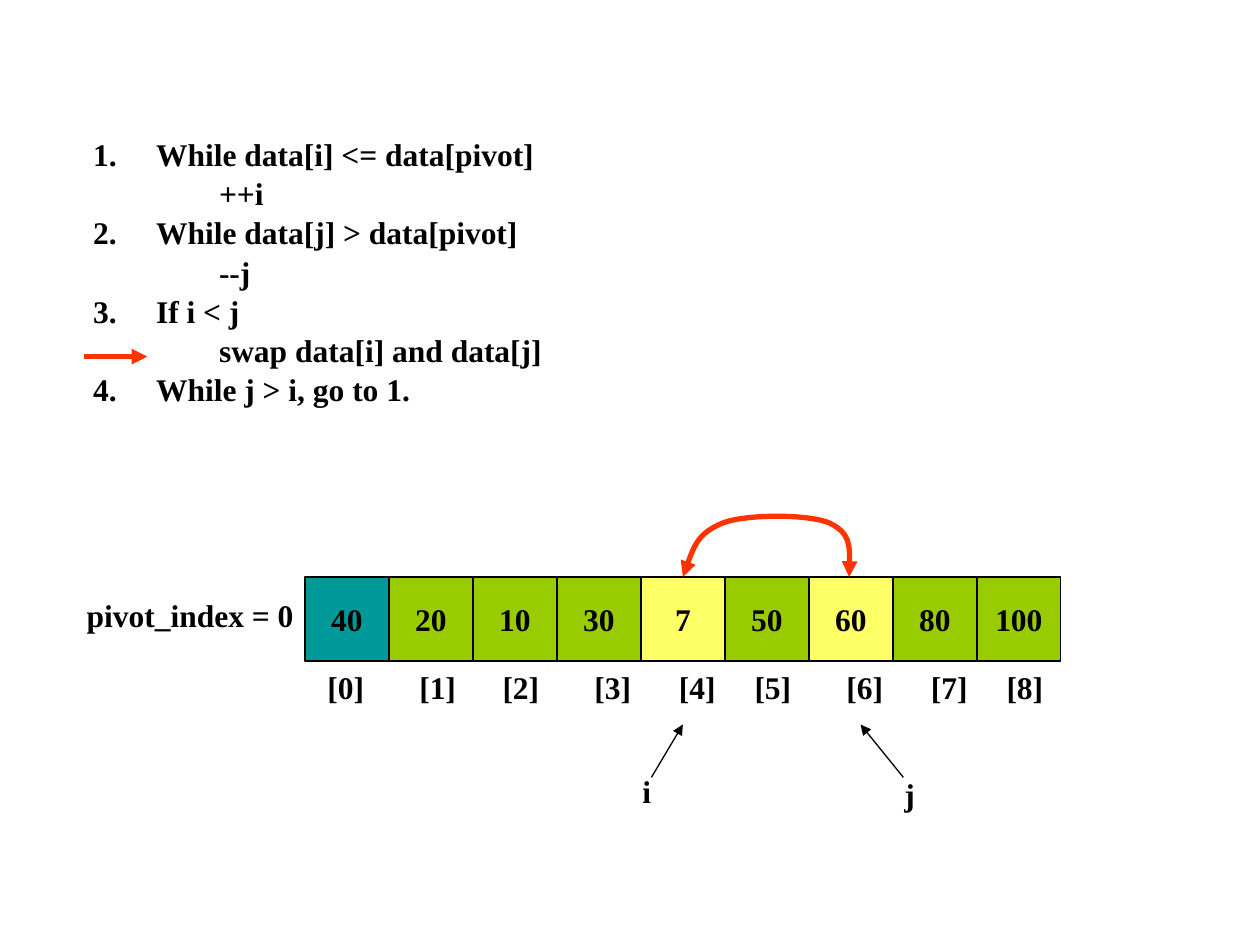
"""Build a slide showing the swap step of quicksort partitioning."""
import pptx
import pptx.dml.color
import pptx.enum.shapes
import pptx.enum.text
import pptx.oxml
import pptx.oxml.ns
import pptx.util

STEPS = [
    ("While data[i] <= data[pivot]", "++i"),
    ("While data[j] > data[pivot]", "--j"),
    ("If i < j", "swap data[i] and data[j]"),
    ("While j > i, go to 1.", None),
]
VALUES = [40, 20, 10, 30, 7, 50, 60, 80, 100]
PIVOT, SWAPPED = 0, (4, 6)
INDEX_TABS = [0.73, 1.39, 2.12, 2.79, 3.39, 4.12, 4.79, 5.39]
LABELS = [
    ("pivot_index = 0", 0.59, 4.68, 1.9),
    ("i", 5, 6.08, 0.42),
    ("j", 7.08, 6.1, 0.33),
    ("\t".join(f"[{n}]" for n in range(len(VALUES))), 2.5, 5.25, 6),
]
BLACK, RED = "000000", "FF3300"
TEAL, GREEN, YELLOW = "009999", "99CC00", "FFFF66"
ARROWS = [
    ((7.17, 6.17), (6.83, 5.75), BLACK, 0.75),
    ((5.17, 6.17), (5.42, 5.75), BLACK, 0.75),
    ((0.67, 2.83), (1.17, 2.83), RED, 3),
]
SWAP_CURVE = [
    (5.42, 4.58), (5.48, 4.4), (5.54, 4.23), (5.74, 4.15), (5.93, 4.08),
    (6.41, 4.08), (6.58, 4.15), (6.75, 4.23), (6.75, 4.4), (6.74, 4.58),
]
ROW_LEFT, ROW_TOP, CELL = 2.42, 4.58, 2 / 3
inch = pptx.util.Inches


def colour(hex_string):
    """Turn a hex string into a colour."""
    return pptx.dml.color.RGBColor.from_string(hex_string)


def add(parent, tag, **attributes):
    """Append a drawing element to a parent element."""
    child = pptx.oxml.parse_xml(f"<a:{tag} {pptx.oxml.ns.nsdecls('a')}/>")
    for name, value in attributes.items():
        child.set(name, str(value))
    parent.append(child)
    return child


def write(paragraph, text):
    """Add tab-separated text as one bold run."""
    run = paragraph.add_run()
    run.text = text
    run.font.name = "Times New Roman"
    run.font.size = pptx.util.Pt(18)
    run.font.bold = True
    run.font.color.rgb = colour(BLACK)


def text_frame(slide, left, top, width, height):
    """Add a wrapping text box and return its frame."""
    box = slide.shapes.add_textbox(inch(left), inch(top), inch(width), inch(height))
    box.text_frame.word_wrap = True
    return box.text_frame


def add_steps(slide):
    """Write the numbered algorithm with indented actions."""
    frame = text_frame(slide, 0.64, 1.02, 4.76, 3.1)
    lines = [(text, level) for step in STEPS for level, text in enumerate(step) if text]
    for position, (text, level) in enumerate(lines):
        paragraph = frame.add_paragraph() if position else frame.paragraphs[0]
        paragraph.level = level
        if position:
            paragraph.space_before = pptx.util.Pt(0.85)
        properties = paragraph._p.get_or_add_pPr()
        properties.set("marL", str(inch(0.5 + level / 2)))
        properties.set("indent", str(0 if level else inch(-0.5)))
        if level:
            add(properties, "buNone")
        else:
            add(add(properties, "buClr"), "srgbClr", val=BLACK)
            add(properties, "buFont", typeface="Times New Roman")
            add(properties, "buAutoNum", type="arabicPeriod")
        write(paragraph, text)


def add_array(slide):
    """Draw the array cells with the pivot and swapped values highlighted."""
    for index, value in enumerate(VALUES):
        cell = slide.shapes.add_shape(
            pptx.enum.shapes.MSO_SHAPE.RECTANGLE,
            inch(ROW_LEFT + index * CELL), inch(ROW_TOP), inch(CELL), inch(CELL))
        cell.shadow.inherit = False
        cell.fill.solid()
        cell.fill.fore_color.rgb = colour(
            TEAL if index == PIVOT else YELLOW if index in SWAPPED else GREEN)
        cell.line.color.rgb = colour(BLACK)
        cell.line.width = pptx.util.Pt(0.75)
        cell.text_frame.vertical_anchor = pptx.enum.text.MSO_ANCHOR.MIDDLE
        paragraph = cell.text_frame.paragraphs[0]
        paragraph.alignment = pptx.enum.text.PP_ALIGN.CENTER
        write(paragraph, str(value))


def add_labels(slide):
    """Write the index row and the pointer names."""
    for text, left, top, width in LABELS:
        paragraph = text_frame(slide, left, top, width, 0.4).paragraphs[0]
        if "\t" in text:
            stops = add(paragraph._p.get_or_add_pPr(), "tabLst")
            for stop in INDEX_TABS:
                add(stops, "tab", pos=inch(stop), algn="l")
        write(paragraph, text)


def style_line(line, hex_string, width, ends):
    """Set a line's colour, width and arrowheads."""
    line.color.rgb = colour(hex_string)
    line.width = pptx.util.Pt(width)
    for end in ends:
        add(line._get_or_add_ln(), end, type="triangle")


def add_arrows(slide):
    """Draw the pointer arrows and the current-step arrow."""
    for start, finish, hex_string, width in ARROWS:
        arrow = slide.shapes.add_connector(
            pptx.enum.shapes.MSO_CONNECTOR.STRAIGHT, *map(inch, start + finish))
        style_line(arrow.line, hex_string, width, ["tailEnd"])
        add(arrow._element.spPr, "effectLst")


def add_swap_curve(slide):
    """Draw the double-headed curve between the swapped cells."""
    points = [(inch(x), inch(y)) for x, y in SWAP_CURVE]
    builder = slide.shapes.build_freeform(*points[0])
    builder.add_line_segments(points[1:], close=False)
    curve = builder.convert_to_shape()
    outline = curve._element.spPr.find(".//" + pptx.oxml.ns.qn("a:path"))
    segments = outline.findall(pptx.oxml.ns.qn("a:lnTo"))
    for first in range(0, len(segments), 3):
        bezier = add(outline, "cubicBezTo")
        for segment in segments[first:first + 3]:
            bezier.append(segment[0])
            outline.remove(segment)
    curve.shadow.inherit = False
    curve.fill.background()
    style_line(curve.line, RED, 3, ["headEnd", "tailEnd"])


def main():
    """Assemble and save the slide."""
    deck = pptx.Presentation()
    deck.slide_width, deck.slide_height = inch(10), inch(7.5)
    slide = deck.slides.add_slide(deck.slide_layouts[6])
    for draw in (add_steps, add_array, add_labels, add_arrows, add_swap_curve):
        draw(slide)
    deck.save("out.pptx")


if __name__ == "__main__":
    main()
